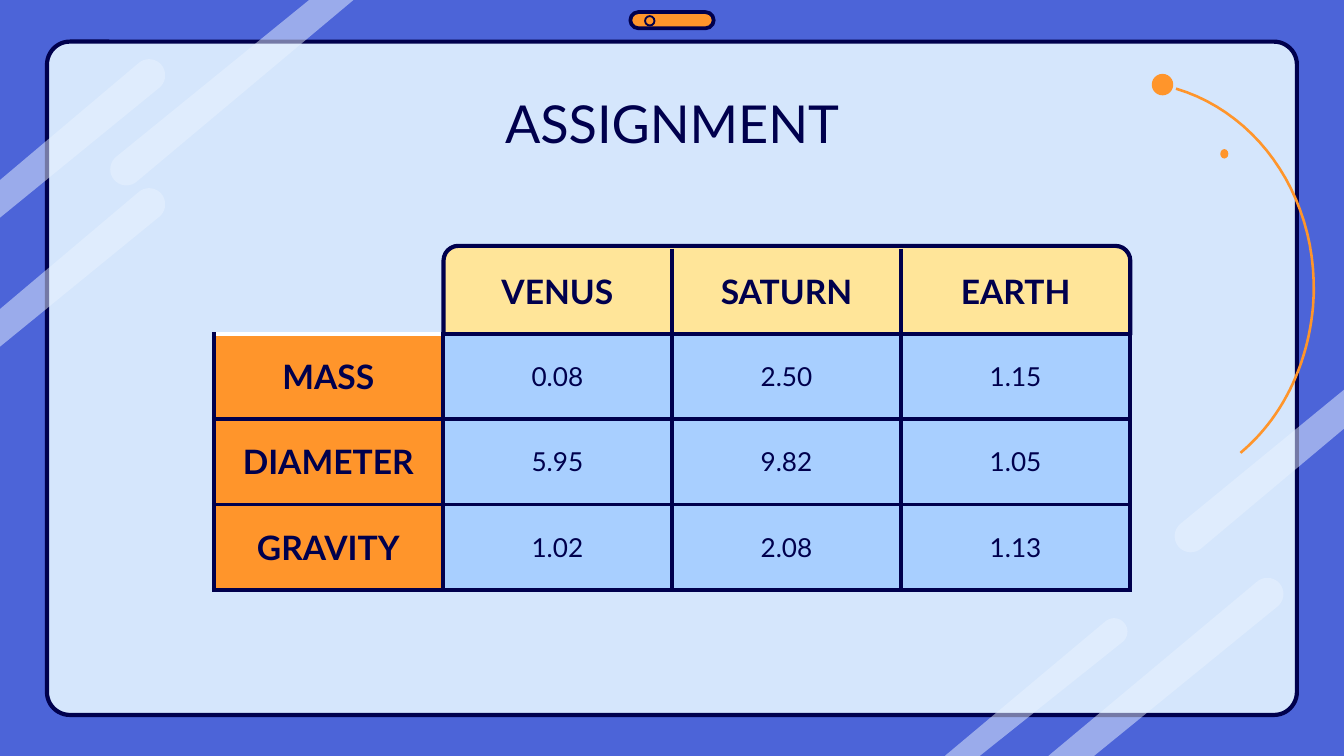
import math

import pptx
import pptx.dml.color
import pptx.enum.shapes
import pptx.enum.text
import pptx.oxml
import pptx.oxml.ns
import pptx.util

Inches, Pt = pptx.util.Inches, pptx.util.Pt
RGB = pptx.dml.color.RGBColor.from_string
SHAPE = pptx.enum.shapes.MSO_SHAPE
ALIGN, ANCHOR = pptx.enum.text.PP_ALIGN, pptx.enum.text.MSO_ANCHOR


class Theme:
    font = "Lato"
    blue, panel, navy = "4C64D8", "D5E6FC", "00004D"
    orange, yellow, cell, stripe, white = "FF952B", "FFE599", "A8CFFF", "E9F3FF", "FFFFFF"
    title, heading, value = 28, 18, 14
    border = 2.25


def paint(sp, fill=None, line=None, width=Theme.border):
    """Set fill and line, either of which may be absent."""
    sp.shadow.inherit = False
    if fill:
        sp.fill.solid()
        sp.fill.fore_color.rgb = RGB(fill)
    else:
        sp.fill.background()
    if line:
        sp.line.color.rgb = RGB(line)
        sp.line.width = Pt(width)
    else:
        sp.line.fill.background()


def add_path(points, close):
    """Draw a freeform through points given in inches."""
    pts = [(Inches(x), Inches(y)) for x, y in points]
    fb = s.shapes.build_freeform(*pts[0])
    fb.add_line_segments(pts[1:], close=close)
    return fb.convert_to_shape()


W, H = 10, 10 * 9 / 16
prs = pptx.Presentation()
prs.slide_width, prs.slide_height = Inches(W), Inches(H)
s = prs.slides.add_slide(prs.slide_layouts[5])
s.background.fill.solid()
s.background.fill.fore_color.rgb = RGB(Theme.blue)

# Panel
panel = s.shapes.add_shape(SHAPE.ROUNDED_RECTANGLE, Inches(0.35), Inches(0.31), Inches(9.3), Inches(5.01))
panel.adjustments[0] = 0.034
paint(panel, Theme.panel, Theme.navy)

# Slanted stripes: cap centre, radius, the two ends at the slide edge, cap direction (1 up, -1 down)
stripes = [
    ((9.43, 4.42), 0.12, (7.8, H), (8.14, H), 1),
    ((8.29, 4.7), 0.1, (7.03, H), (7.29, H), 1),
    ((0.94, 1.26), 0.12, (2.3, 0), (2.63, 0), -1),
    ((1.11, 0.56), 0.12, (0, 1.34), (0, 1.62), 1),
    ((1.11, 1.52), 0.12, (0, 2.3), (0, 2.58), 1),
    ((8.86, 3.99), 0.12, (W, 2.9), (W, 3.19), -1),
]
for (cx, cy), radius, start, end, turn in stripes:
    angles = [math.radians(230 + turn * a) for a in range(0, 181, 10)]
    cap = [(cx + radius * math.cos(a), cy + radius * math.sin(a)) for a in angles]
    sp = add_path([start, *cap, end], close=True)
    paint(sp, Theme.stripe)
    color = sp.fill._xPr.find(".//" + pptx.oxml.ns.qn("a:srgbClr"))
    color.append(pptx.oxml.parse_xml(f'<a:alpha {pptx.oxml.ns.nsdecls("a")} val="50000"/>'))

# Camera bar
bar = s.shapes.add_shape(SHAPE.ROUNDED_RECTANGLE, Inches(4.69), Inches(0.09), Inches(0.62), Inches(0.12))
bar.adjustments[0] = 0.5
paint(bar, Theme.orange, Theme.navy, 2)
lens = s.shapes.add_shape(SHAPE.OVAL, Inches(4.8), Inches(0.12), Inches(0.07), Inches(0.07))
paint(lens, line=Theme.navy, width=1)

# Orbit: two Bezier curves sampled into one line, with two planets
curves = [
    ((8.75, 0.66), (9.39, 0.85), (9.83, 1.52), (9.77, 2.28)),
    ((9.77, 2.28), (9.73, 2.73), (9.53, 3.12), (9.23, 3.37)),
]
orbit = []
for curve in curves:
    for t in [i / 24 for i in range(25)]:
        weights = [math.comb(3, k) * t**k * (1 - t) ** (3 - k) for k in range(4)]
        orbit.append(tuple(sum(w * pt[axis] for w, pt in zip(weights, curve)) for axis in (0, 1)))
paint(add_path(orbit, close=False), line=Theme.orange, width=1.4)
for x, y, w, h in [(8.57, 0.55, 0.16, 0.16), (9.08, 1.11, 0.06, 0.07)]:
    planet = s.shapes.add_shape(SHAPE.OVAL, Inches(x), Inches(y), Inches(w), Inches(h))
    paint(planet, Theme.orange)

# Rounded backing of the header row
header = s.shapes.add_shape(SHAPE.ROUND_2_SAME_RECTANGLE, Inches(3.3), Inches(1.83), Inches(5.11), Inches(0.66))
header.adjustments[0] = 0.167
paint(header, Theme.yellow, Theme.navy)

# Title, brought in front of the panel
title = s.shapes.title
s.shapes._spTree.append(title._element)
title.left, title.top, title.width, title.height = Inches(0.79), Inches(0.58), Inches(8.42), Inches(0.63)
tf = title.text_frame
tf.text = "ASSIGNMENT"
tf.word_wrap = True
tf.auto_size = pptx.enum.text.MSO_AUTO_SIZE.NONE
tf.vertical_anchor = ANCHOR.TOP
tf.margin_left = tf.margin_right = tf.margin_top = tf.margin_bottom = Inches(0.1)
p = tf.paragraphs[0]
p.alignment = ALIGN.CENTER
r = p.runs[0]
r.font.name, r.font.size = Theme.font, Pt(Theme.title)
r.font.color.rgb = RGB(Theme.navy)

# Table
rows = [
    ["", "VENUS", "SATURN", "EARTH"],
    ["MASS", "0.08", "2.50", "1.15"],
    ["DIAMETER", "5.95", "9.82", "1.05"],
    ["GRAVITY", "1.02", "2.08", "1.13"],
]
table = s.shapes.add_table(4, 4, Inches(1.59), Inches(1.85), Inches(6.82), Inches(2.54)).table
table.first_row = table.horz_banding = False
for i, row in enumerate(rows):
    for j, text in enumerate(row):
        cell = table.cell(i, j)
        borders = dict.fromkeys("LRTB", Theme.navy)
        if i == 0:
            borders["T"] = None
            if j < 2:
                borders["L"] = None
            if j in (0, 3):
                borders["R"] = None
        if j == 0 and i < 2:
            borders["B" if i == 0 else "T"] = Theme.white
        tcPr = cell._tc.get_or_add_tcPr()
        for side, color in borders.items():
            fill = f'<a:solidFill><a:srgbClr val="{color}"/></a:solidFill>' if color else "<a:noFill/>"
            tcPr.append(pptx.oxml.parse_xml(
                f'<a:ln{side} {pptx.oxml.ns.nsdecls("a")} w="{Pt(Theme.border)}">{fill}</a:ln{side}>'))
        if i == 0:
            cell.fill.background()
        else:
            cell.fill.solid()
            cell.fill.fore_color.rgb = RGB(Theme.cell if j else Theme.orange)
        cell.vertical_anchor = ANCHOR.MIDDLE
        cell.margin_left = cell.margin_right = cell.margin_top = cell.margin_bottom = Inches(0.1)
        if not text:
            continue
        cell.text = text
        p = cell.text_frame.paragraphs[0]
        p.alignment = ALIGN.CENTER
        r = p.runs[0]
        is_heading = i == 0 or j == 0
        r.font.name, r.font.bold = Theme.font, is_heading
        r.font.size = Pt(Theme.heading if is_heading else Theme.value)
        r.font.color.rgb = RGB(Theme.navy)

prs.save("out.pptx")
